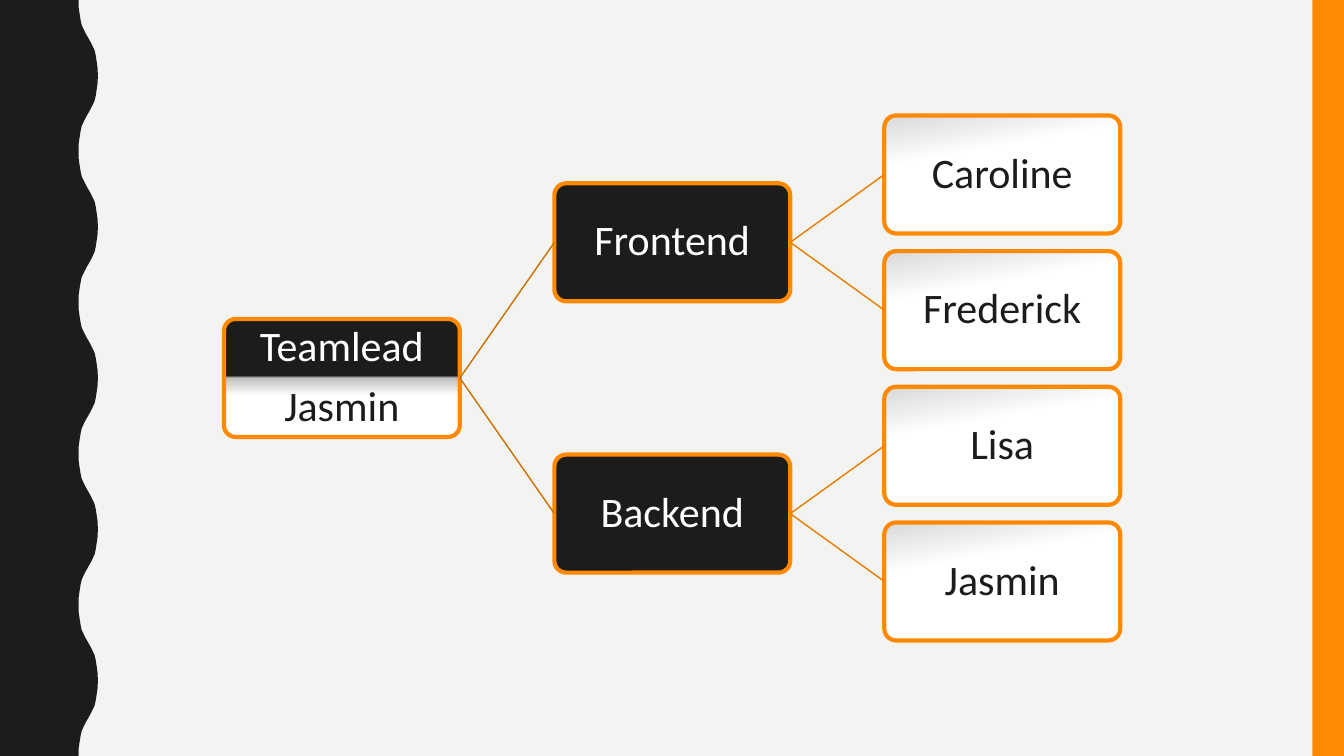
from lxml.etree import SubElement
from pptx import Presentation
from pptx.dml.color import RGBColor
from pptx.enum.shapes import MSO_CONNECTOR as Connector, MSO_SHAPE as Shape
from pptx.enum.text import MSO_ANCHOR as Anchor, PP_ALIGN as Align
from pptx.oxml.ns import qn
from pptx.util import Pt

DARK, INK, WHITE, ORANGE = "1C1C1C", "1C1C1B", "FFFFFF", "FF8900"
SPLIT = [(0, WHITE), (35, WHITE), (50, "BFBFBF"), (52, INK), (100, INK)]
SHADED = [(0, WHITE), (67, WHITE), (100, "D9D9D9")]
BOX_WIDTH, BOX_HEIGHT = 168.5, 84.3
COLUMNS = [160, 396, 631.7]
MIDDLE, ROW_STEP = 270, 96.9


def color(value):
    return RGBColor.from_string(value)


def add_box(column, row, lines, stops=None, angle=0):
    """Add a rounded box; row counts steps from the slide's middle."""
    box = page.shapes.add_shape(
        Shape.ROUNDED_RECTANGLE, Pt(COLUMNS[column]),
        Pt(MIDDLE + row * ROW_STEP - BOX_HEIGHT / 2), Pt(BOX_WIDTH), Pt(BOX_HEIGHT))
    box.adjustments[0] = 0.1
    box.shadow.inherit = False
    box.line.color.rgb = color(ORANGE)
    box.line.width = Pt(3)
    if stops:
        box.fill.gradient()
        box.fill.gradient_angle = 360 - angle
        stop_list = box._element.spPr.find(qn("a:gradFill")).find(qn("a:gsLst"))
        for old_stop in list(stop_list):
            stop_list.remove(old_stop)
        for position, shade in stops:
            stop = SubElement(stop_list, qn("a:gs"), pos=str(position * 1000))
            SubElement(stop, qn("a:srgbClr"), val=shade)
    else:
        box.fill.solid()
        box.fill.fore_color.rgb = color(INK)

    frame = box.text_frame
    frame_format = {"word_wrap": True, "vertical_anchor": Anchor.MIDDLE,
                    "margin_left": Pt(1.5), "margin_right": Pt(1.5),
                    "margin_top": 0, "margin_bottom": 0}
    for name, value in frame_format.items():
        setattr(frame, name, value)
    para_format = {"alignment": Align.CENTER, "line_spacing": 0.9, "space_after": Pt(10.5)}
    for index, (text, shade) in enumerate(lines):
        para = frame.add_paragraph() if index else frame.paragraphs[0]
        for name, value in para_format.items():
            setattr(para, name, value)
        span = para.add_run()
        span.text = text
        for name, value in {"name": "Calibri", "size": Pt(30)}.items():
            setattr(span.font, name, value)
        span.font.color.rgb = color(shade)
    return box


deck = Presentation()
deck.slide_width, deck.slide_height = Pt(960), Pt(540)
page = deck.slides.add_slide(deck.slide_layouts[6])
page.background.fill.solid()
page.background.fill.fore_color.rgb = color("F3F3F2")

# Wavy left edge: a quarter wave, mirrored into a full one and repeated
quarter = [(-6.9, 0), (-6.8, 5), (-6.1, 10), (-5.4, 14.4),
           (-4.6, 18), (-3.2, 21), (-1.7, 24), (0, 27)]
half = quarter + [(-x, 54 - y) for x, y in quarter[-2::-1]]
wave = half + [(x, 108 - y) for x, y in half[-2::-1]]
edge = [(Pt(63 + x), Pt(y + 108 * turn)) for turn in range(5) for x, y in wave]
outline = page.shapes.build_freeform(0, 0)
outline.add_line_segments(edge + [(0, Pt(540))], close=True)
left_band = outline.convert_to_shape()

# Right bar
right_bar = page.shapes.add_shape(Shape.RECTANGLE, Pt(937.5), 0, Pt(22.5), Pt(540))
for band, shade in [(left_band, DARK), (right_bar, ORANGE)]:
    band.shadow.inherit = False
    band.fill.solid()
    band.fill.fore_color.rgb = color(shade)
    band.line.fill.background()

# Team tree
lead = add_box(0, 0, [("Teamlead", WHITE), ("Jasmin", INK)], SPLIT, 270)
links = []
teams = [("Frontend", -1, ["Caroline", "Frederick"]),
         ("Backend", 1, ["Lisa", "Jasmin"])]
for team, row, members in teams:
    team_box = add_box(1, row, [(team, WHITE)])
    links.append((lead, team_box, "CC6E00"))
    for member, offset in zip(members, (-0.5, 0.5)):
        member_box = add_box(2, row + offset, [(member, INK)], SHADED, 260)
        links.append((team_box, member_box, "E77C00"))

# Links from right side to left side
for parent, child, shade in links:
    link = page.shapes.add_connector(Connector.STRAIGHT, 0, 0, 0, 0)
    link.begin_connect(parent, 3)
    link.end_connect(child, 1)
    link.line.color.rgb = color(shade)
    link.line.width = Pt(1)
    SubElement(link._element.spPr, qn("a:effectLst"))

deck.save("out.pptx")
